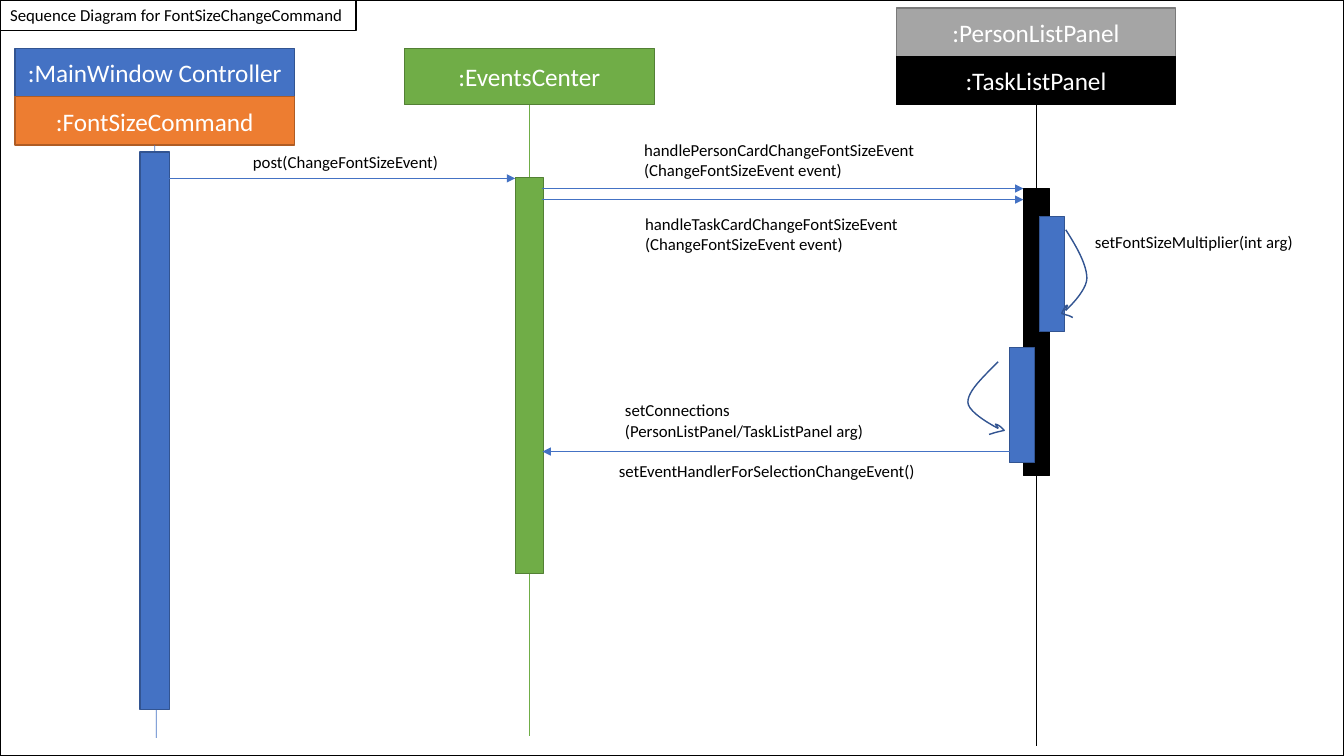
from pptx import Presentation, util as u
from pptx.dml.color import RGBColor
from pptx.enum import shapes, text
from pptx.oxml.ns import qn
from lxml import etree

BLACK, WHITE = RGBColor(0, 0, 0), RGBColor(255, 255, 255)
BLUE, DARK_BLUE = RGBColor(0x44, 0x72, 0xC4), RGBColor(0x32, 0x54, 0x91)
ORANGE, DARK_ORANGE = RGBColor(0xED, 0x7D, 0x31), RGBColor(0xAF, 0x5C, 0x24)
GREEN, DARK_GREEN = RGBColor(0x70, 0xAD, 0x47), RGBColor(0x53, 0x80, 0x35)
GREY, DARK_GREY = RGBColor(0xA5, 0xA5, 0xA5), RGBColor(0x7A, 0x7A, 0x7A)

# The slide is a grid of 1333 columns by 750 rows
CELL = u.Inches(0.01)
COLS, ROWS = 1333, 750
MAIN, EVENTS, PANEL = 153.5, 525, 1027.5  # columns of the lifelines
HEAD_WIDTH, HEAD_HEIGHT = 277, 48

prs = Presentation()
prs.slide_width, prs.slide_height = COLS * CELL, ROWS * CELL
slide = prs.slides.add_slide(prs.slide_layouts[5])


def grid(*cells):
    return [round(cell * CELL) for cell in cells]


def write(shape, content, size=12, color=BLACK, align=text.PP_ALIGN.LEFT,
          anchor=text.MSO_ANCHOR.TOP, wrap=True):
    frame = shape.text_frame
    frame.text = content
    frame.word_wrap = wrap
    frame.auto_size = text.MSO_AUTO_SIZE.NONE
    frame.vertical_anchor = anchor
    for paragraph in frame.paragraphs:
        paragraph.alignment = align
        paragraph.font.name = "Calibri"
        paragraph.font.size = u.Pt(size)
        paragraph.font.color.rgb = color


# Slide border, behind the title
border = slide.shapes.add_shape(shapes.MSO_SHAPE.RECTANGLE, *grid(0, 0, COLS, ROWS))
border.shadow.inherit = False
slide.shapes._spTree.insert(2, border._element)

# Title in the corner frame
title = slide.shapes.title
title.left, title.top, title.width, title.height = grid(0, 0, 353, 30)
write(title, "Sequence Diagram for FontSizeChangeCommand", wrap=False)
for framed in (border, title):
    framed.fill.solid()
    framed.fill.fore_color.rgb = WHITE
    framed.line.color.rgb = BLACK
    framed.line.width = u.Pt(1)

# Participant heads, then activation bars: centre, top, width, height
participants = {}
for name, centre, top, width, height, fill, edge in [
    (":MainWindow Controller", MAIN, 48, HEAD_WIDTH, HEAD_HEIGHT, BLUE, DARK_BLUE),
    (":FontSizeCommand", MAIN, 96, HEAD_WIDTH, HEAD_HEIGHT, ORANGE, DARK_ORANGE),
    (":EventsCenter", EVENTS, 48, 248, 56, GREEN, DARK_GREEN),
    (":PersonListPanel", PANEL, 8, HEAD_WIDTH, HEAD_HEIGHT, GREY, DARK_GREY),
    (":TaskListPanel", PANEL, 56, HEAD_WIDTH, HEAD_HEIGHT, BLACK, BLACK),
    ("main bar", MAIN, 151, 29, 553, BLUE, DARK_BLUE),
    ("events bar", EVENTS, 176, 28, 393, GREEN, DARK_GREEN),
    ("panel bar", PANEL + 0.5, 187, 26, 285, BLACK, BLACK),
    ("multiplier bar", 1043.5, 215, 25, 114, BLUE, DARK_BLUE),
    ("connections bar", 1013.5, 345, 25, 114, BLUE, DARK_BLUE),
]:
    box = slide.shapes.add_shape(shapes.MSO_SHAPE.RECTANGLE,
                                 *grid(centre - width / 2, top, width, height))
    box.shadow.inherit = False
    box.fill.solid()
    box.fill.fore_color.rgb = fill
    box.line.color.rgb = edge
    box.line.width = u.Pt(1)
    if name.startswith(":"):
        write(box, name, size=18, color=WHITE, align=text.PP_ALIGN.CENTER,
              anchor=text.MSO_ANCHOR.MIDDLE)
    participants[name] = box

# Lifelines hang from a head; messages carry an arrowhead
for x1, y1, x2, y2, color, head in [
    (MAIN, 144, 155, 732, BLUE, ":FontSizeCommand"),
    (EVENTS, 104, EVENTS, 730, GREEN, ":EventsCenter"),
    (PANEL, 104, PANEL, 740, BLACK, ":TaskListPanel"),
    (168, 177, 511, 177, BLUE, None),
    (538, 187, 1015, 187, BLUE, None),
    (538, 198, 1015, 198, BLUE, None),
    (1003, 448, 538, 448, BLUE, None),
]:
    line = slide.shapes.add_connector(shapes.MSO_CONNECTOR.STRAIGHT,
                                      *grid(x1, y1, x2, y2))
    line.line.color.rgb = color
    line.line.width = u.Pt(0.5)
    if head:
        line.begin_connect(participants[head], 2)
        bar_parent = line._element
        # Keep lifelines behind the activation bars
        participants["main bar"]._element.addprevious(bar_parent)
    else:
        etree.SubElement(line.line._get_or_add_ln(), qn("a:tailEnd"), type="triangle")
    etree.SubElement(line._element.spPr, qn("a:effectLst"))

# Message labels
for content, left, top, width, height, wrap in [
    ("post(ChangeFontSizeEvent)", 241, 146, 206, 30, False),
    ("handlePersonCardChangeFontSizeEvent\n(ChangeFontSizeEvent event)",
     629, 134, 374, 50, True),
    ("handleTaskCardChangeFontSizeEvent\n(ChangeFontSizeEvent event)",
     630, 207, 364, 50, True),
    ("setFontSizeMultiplier(int arg)", 1076, 225, 239, 30, True),
    ("setConnections\n(PersonListPanel/TaskListPanel arg)", 610, 392, 298, 50, True),
    ("setEventHandlerForSelectionChangeEvent()", 604, 452, 317, 30, False),
]:
    label = slide.shapes.add_textbox(*grid(left, top, width, height))
    write(label, content, wrap=wrap)

# Self-call loops and their hand-drawn tips: a start, then Bezier triples
STEPS = 12
for start, *curves in [
    [(1057, 228), ((1068, 245), (1078, 263), (1078, 276)),
     ((1078, 289), (1057, 308), (1057, 308))],
    [(1057, 308), ((1057, 306), (1060, 302), (1058, 303)),
     ((1056, 304), (1053, 311), (1053, 311)), ((1062, 314), (1058, 312), (1064, 315))],
    [(990, 359), ((975, 374), (960, 388), (960, 399)),
     ((960, 410), (990, 425), (990, 425))],
    [(990, 425), ((990, 424), (986, 420), (988, 421)),
     ((992, 422), (996, 427), (996, 427)), ((983, 430), (988, 429), (981, 431))],
]:
    points, origin = [], start
    for first, second, end in curves:
        for step in range(1, STEPS + 1):
            t = step / STEPS
            points.append(grid(*(
                (1 - t) ** 3 * a + 3 * (1 - t) ** 2 * t * b + 3 * (1 - t) * t ** 2 * c + t ** 3 * d
                for a, b, c, d in zip(origin, first, second, end))))
        origin = end
    outline = slide.shapes.build_freeform(*grid(*start))
    outline.add_line_segments(points, close=False)
    self_call = outline.convert_to_shape()
    self_call.shadow.inherit = False
    self_call.fill.background()
    self_call.line.color.rgb = DARK_BLUE
    self_call.line.width = u.Pt(1)

prs.save("out.pptx")
